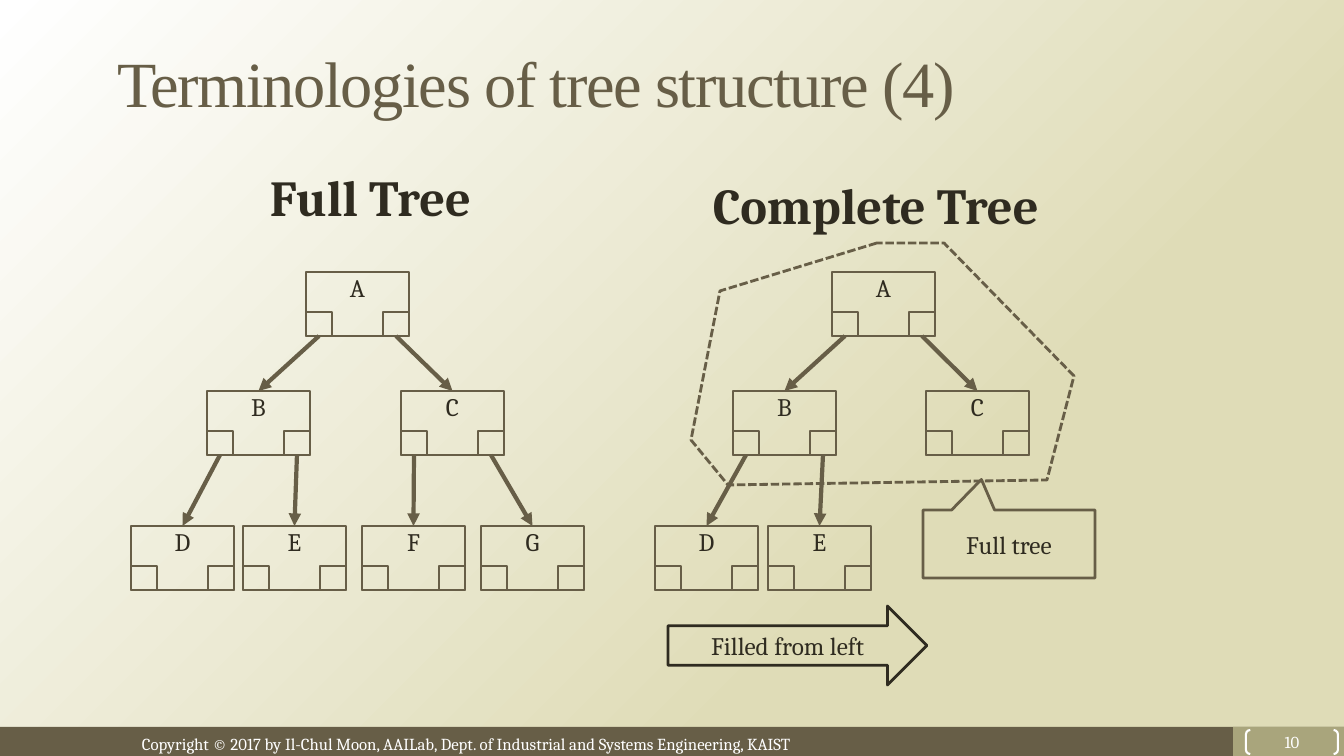
from lxml import etree
from pptx import Presentation
from pptx import util as u
from pptx.dml.color import RGBColor
from pptx.enum import dml, shapes, text
from pptx.oxml import ns

COLOURS = {"brown": "675E47", "ink": "2F2B20", "olive": "A9A57C",
           "sand": "DFDCB7", "white": "FFFFFF"}
SERIF, TITLE_FONT = "Cambria", "Times New Roman"

TITLE = "Terminologies of tree structure (4)"
FOOTER = ("Copyright © 2017 by Il-Chul Moon, AAILab, "
          "Dept. of Industrial and Systems Engineering, KAIST")
PAGE_NUMBER = "10"

# Heading, its box, left edge of every node, and the children (left, right)
TREES = [
    {"heading": "Full Tree", "box": (260, 161, 228, 72),
     "nodes": [{"A": 306}, {"B": 207, "C": 401},
               {"D": 131, "E": 243, "F": 362, "G": 481}],
     "children": {"A": "BC", "B": "DE", "C": "FG"}},
    {"heading": "Complete Tree", "box": (703, 169, 360, 72),
     "nodes": [{"A": 832}, {"B": 733, "C": 926}, {"D": 655, "E": 768}],
     "children": {"A": "BC", "B": "DE"}},
]
LEVEL_TOPS = (272, 391, 526)
NODE_W, NODE_H = 103, 64
PORT_W, PORT_H = 26, 24

FULL_PART = [(877, 243), (720, 291), (691, 440), (728, 485),
             (1047, 480), (1074, 376), (944, 243)]

PX = 914400 / 100.8
RECT = shapes.MSO_SHAPE.RECTANGLE


def px(*lengths):
    return [u.Emu(round(length * PX)) for length in lengths]


def rgb(name):
    return RGBColor.from_string(COLOURS[name])


def write(frame, words, size, colour="ink", font=SERIF, bold=False,
          align=text.PP_ALIGN.LEFT):
    para = frame.paragraphs[0]
    para.alignment = align
    span = para.add_run()
    span.text = words
    span.font.size = u.Pt(size)
    span.font.name = font
    span.font.bold = bold
    span.font.color.rgb = rgb(colour)
    return span


def add_box(parent, kind, box, line=None, fill=None, weight=2):
    shape = parent.add_shape(kind, *px(*box))
    return paint(shape, line, fill, weight)


def paint(shape, line=None, fill=None, weight=2):
    shape.shadow.inherit = False
    if fill:
        shape.fill.solid()
        shape.fill.fore_color.rgb = rgb(fill)
    else:
        shape.fill.background()
    if line:
        shape.line.color.rgb = rgb(line)
        shape.line.width = u.Pt(weight)
    else:
        shape.line.fill.background()
    return shape


def label(shape, words, size=18, colour="ink", anchor=text.MSO_ANCHOR.MIDDLE,
          inset=None):
    frame = shape.text_frame
    frame.word_wrap = True
    frame.vertical_anchor = anchor
    if inset is not None:
        frame.margin_left = frame.margin_right = inset
        frame.margin_top = frame.margin_bottom = inset
    write(frame, words, size, colour, align=text.PP_ALIGN.CENTER)


def add_text(page, words, box, size, colour="ink", bold=False):
    frame = page.shapes.add_textbox(*px(*box)).text_frame
    frame.word_wrap = False
    frame.auto_size = text.MSO_AUTO_SIZE.SHAPE_TO_FIT_TEXT
    write(frame, words, size, colour, bold=bold)


def add_node(page, name, left, top):
    """Draw a labelled node; return its body and its two pointer cells."""
    group = page.shapes.add_group_shape()
    body = add_box(group.shapes, RECT, (left, top, NODE_W, NODE_H), "brown")
    label(body, name, anchor=text.MSO_ANCHOR.TOP, inset=0)
    ports = [add_box(group.shapes, RECT,
                     (left + shift, top + NODE_H - PORT_H, PORT_W, PORT_H), "brown")
             for shift in (0, NODE_W - PORT_W)]
    return body, ports


def add_arrow(page, port, child):
    arrow = page.shapes.add_connector(shapes.MSO_CONNECTOR.STRAIGHT, 0, 0, 0, 0)
    arrow.begin_connect(port, 2)
    arrow.end_connect(child, 0)
    arrow.line.color.rgb = rgb("brown")
    arrow.line.width = u.Pt(3)
    outline = arrow.line._get_or_add_ln()
    etree.SubElement(outline, ns.qn("a:tailEnd"), type="triangle")
    etree.SubElement(arrow._element.spPr, ns.qn("a:effectLst"))


def add_tree(page, tree):
    nodes = {name: add_node(page, name, left, top)
             for top, level in zip(LEVEL_TOPS, tree["nodes"])
             for name, left in level.items()}
    for parent, children in tree["children"].items():
        for port, child in zip(nodes[parent][1], children):
            add_arrow(page, port, nodes[child][0])
    add_text(page, tree["heading"], tree["box"], 36, bold=True)


def add_background(page):
    fill = page.background.fill
    fill.gradient()
    fill.gradient_angle = 135
    for stop, colour, place in zip(fill.gradient_stops, ("sand", "white"), (0.31, 1)):
        stop.color.rgb = rgb(colour)
        stop.position = place


def add_title(page):
    title = page.shapes.title
    title.left, title.top, title.width, title.height = px(107, 46, 907, 71)
    frame = title.text_frame
    frame.word_wrap = True
    frame.auto_size = text.MSO_AUTO_SIZE.NONE
    frame.vertical_anchor = text.MSO_ANCHOR.MIDDLE
    span = write(frame, TITLE, 46, "brown", TITLE_FONT)
    span.font._element.set("spc", "-100")


def add_footer(page):
    add_box(page.shapes, RECT, (0, 727, 1344, 29), fill="brown")
    add_box(page.shapes, RECT, (1233, 727, 111, 29), fill="olive")
    add_text(page, FOOTER, (132, 729, 707, 30), 12, "white")
    bracket = add_box(page.shapes, shapes.MSO_SHAPE.DOUBLE_BRACKET,
                      (1246, 730, 92, 24), "white", weight=1.5)
    bracket.adjustments[0] = 0.18
    label(bracket, PAGE_NUMBER, 12, "white", inset=0)


def add_notes_on_complete_tree(page):
    builder = page.shapes.build_freeform(*FULL_PART[0], scale=PX)
    builder.add_line_segments(FULL_PART[1:], close=True)
    region = paint(builder.convert_to_shape(), "brown")
    region.line.dash_style = dml.MSO_LINE.SQUARE_DOT

    arrow = add_box(page.shapes, shapes.MSO_SHAPE.RIGHT_ARROW,
                    (668, 606, 259, 79), "ink")
    label(arrow, "Filled from left")

    callout = add_box(page.shapes, shapes.MSO_SHAPE.RECTANGULAR_CALLOUT,
                      (923, 510, 172, 68), "brown")
    callout.adjustments[0], callout.adjustments[1] = -0.16, -0.95
    label(callout, "Full tree")


def main():
    deck = Presentation()
    deck.slide_width, deck.slide_height = px(1344, 756)
    page = deck.slides.add_slide(deck.slide_layouts.get_by_name("Title Only"))
    add_background(page)
    add_footer(page)
    add_title(page)
    for tree in TREES:
        add_tree(page, tree)
    add_notes_on_complete_tree(page)
    deck.save("out.pptx")


if __name__ == "__main__":
    main()
